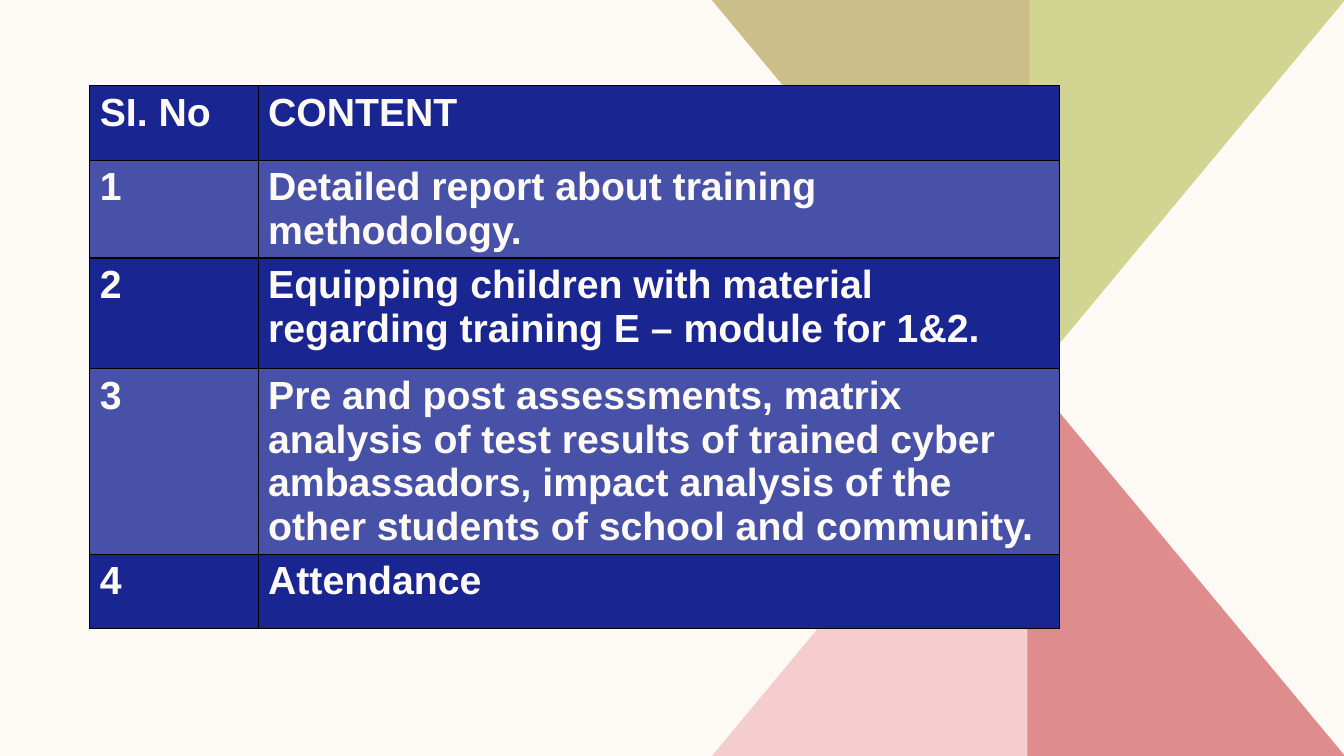
from dataclasses import dataclass

from lxml.etree import SubElement
from pptx import Presentation
from pptx.dml.color import RGBColor as Color
from pptx.oxml.ns import qn
from pptx.util import Inches, Pt


@dataclass(frozen=True)
class Theme:
    """Colours and type of the deck."""
    paper: str = "FDFAF6"
    navy: str = "192692"
    band: str = "4751A7"
    border: str = "000000"
    pink: str = "F5CDCE"
    red: str = "DE8C8C"
    lime: str = "D2D592"
    sand: str = "CCBE89"
    font: str = "Arial"
    text_size: int = 28
    border_width: int = 1


THEME = Theme()
SLIDE_WIDTH, SLIDE_HEIGHT = 13.33, 7.5
HEADER = ("SI. No", "CONTENT")
CONTENTS = (
    "Detailed report about training methodology.",
    "Equipping children with material regarding training E – module for 1&2.",
    "Pre and post assessments, matrix analysis of test results of trained cyber "
    "ambassadors, impact analysis of the other students of school and community.",
    "Attendance",
)
COLUMN_WIDTHS = (1.67, 7.95)
ROW_HEIGHTS = (0.74, 0.97, 1.1, 1.84, 0.74)


def add_triangle(page, apex, outer, color):
    """Draw a right triangle from its apex and its outer corner."""
    points = [apex, outer, (apex[0], outer[1])]
    corners = [(Inches(x), Inches(y)) for x, y in points]
    builder = page.shapes.build_freeform(*corners[0])
    builder.add_line_segments(corners[1:], close=True)
    triangle = builder.convert_to_shape()
    triangle.shadow.inherit = False
    triangle.fill.solid()
    triangle.fill.fore_color.rgb = Color.from_string(color)
    triangle.line.fill.background()


def add_backdrop(page, left, top, width, height):
    """Place four triangles that meet along the middle of the box."""
    right, bottom = left + width, top + height
    middle = left + width / 2
    upper_apex, lower_apex = top + 3.79, bottom - 3.79
    add_triangle(page, (middle + 0.01, lower_apex), (left, bottom), THEME.pink)
    add_triangle(page, (middle - 0.01, lower_apex), (right, bottom), THEME.red)
    add_triangle(page, (middle - 0.01, upper_apex), (right, top), THEME.lime)
    add_triangle(page, (middle + 0.01, upper_apex), (left, top), THEME.sand)


def add_borders(cell):
    """Outline a cell on all four sides."""
    properties = cell._tc.get_or_add_tcPr()
    for side in ("a:lnL", "a:lnR", "a:lnT", "a:lnB"):
        line = SubElement(properties, qn(side), w=str(Pt(THEME.border_width)))
        fill = SubElement(line, qn("a:solidFill"))
        SubElement(fill, qn("a:srgbClr"), val=THEME.border)


def fill_cell(cell, text, color):
    """Write and format one table cell."""
    add_borders(cell)
    cell.fill.solid()
    cell.fill.fore_color.rgb = Color.from_string(color)
    span = cell.text_frame.paragraphs[0].add_run()
    span.text = text
    span.font.name = THEME.font
    span.font.size = Pt(THEME.text_size)
    span.font.bold = True
    span.font.color.rgb = Color.from_string(THEME.paper)


def add_content_table(page, left, top):
    """Place the numbered table of contents at the given corner."""
    rows = [HEADER] + [(str(number), text) for number, text in enumerate(CONTENTS, 1)]
    frame = page.shapes.add_table(
        len(rows), len(HEADER), Inches(left), Inches(top),
        Inches(sum(COLUMN_WIDTHS)), Inches(sum(ROW_HEIGHTS)))
    table = frame.table
    for column, width in zip(table.columns, COLUMN_WIDTHS):
        column.width = Inches(width)
    for index, (row, height, texts) in enumerate(zip(table.rows, ROW_HEIGHTS, rows)):
        row.height = Inches(height)
        color = THEME.band if index % 2 else THEME.navy
        for cell, text in zip(row.cells, texts):
            fill_cell(cell, text, color)


def add_contents_slide(deck):
    """Add the contents slide with its backdrop and table."""
    page = deck.slides.add_slide(deck.slide_layouts[6])
    page.background.fill.solid()
    page.background.fill.fore_color.rgb = Color.from_string(THEME.paper)
    add_backdrop(page, 7.06, 0, 6.28, SLIDE_HEIGHT)
    add_content_table(page, 0.89, 0.85)


def main():
    """Build and save the deck."""
    deck = Presentation()
    deck.slide_width = Inches(SLIDE_WIDTH)
    deck.slide_height = Inches(SLIDE_HEIGHT)
    add_contents_slide(deck)
    deck.save("out.pptx")


if __name__ == "__main__":
    main()
